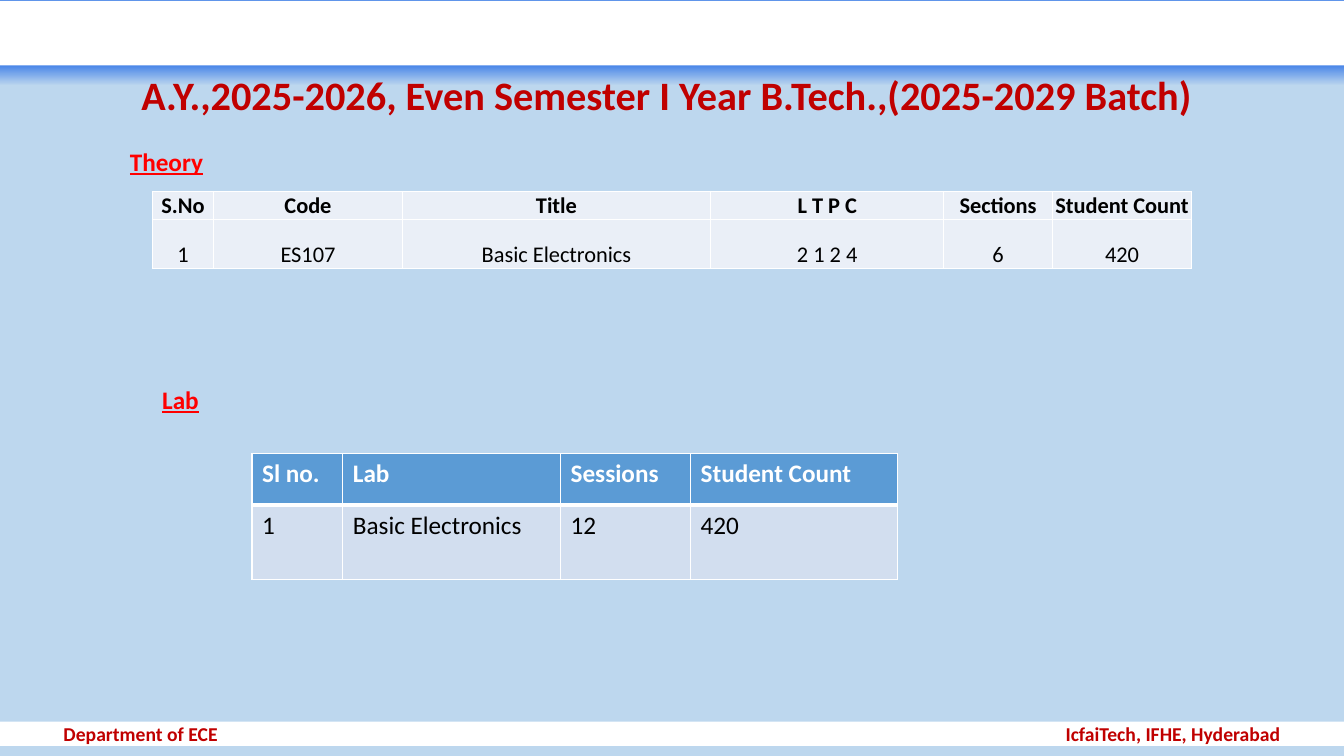
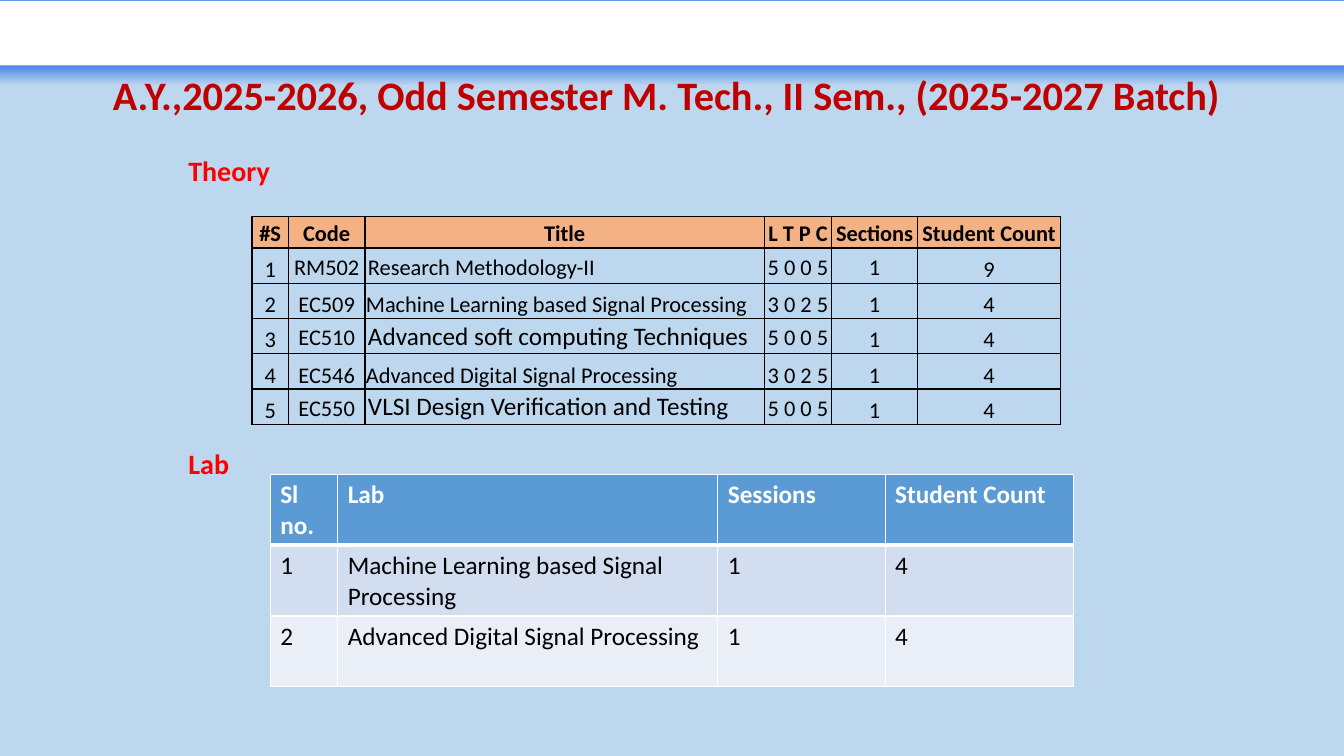
import pptx
import pptx.util
import pptx.dml.color
import pptx.enum.shapes
import pptx.enum.text
import pptx.oxml
import pptx.oxml.ns
from pptx.util import Inches

ALIGN = pptx.enum.text.PP_ALIGN
ANCHOR = pptx.enum.text.MSO_ANCHOR
RECTANGLE = pptx.enum.shapes.MSO_SHAPE.RECTANGLE

WIDTH, HEIGHT = 13.33, 7.5
FONT = "Calibri"
SKY, WHITE, BLACK = "BDD7EE", "FFFFFF", "000000"
CRIMSON, RED = "C00000", "FF0000"
GLOW, HEADER_BLUE = "4A86E8", "5B9BD5"
BAND_DARK, BAND_LIGHT, PEACH = "D2DEEF", "EAEFF7", "F4B183"
TIGHT = (0.01, 0.01, 0.01, 0)
PADDED = (0.03, 0.02, 0.03, 0.02)
THEORY_HEADS = ["Code", "Title", "L T P C", "Sections", "Student Count"]
LAB_HEADS = ["Sl no.", "Lab", "Sessions", "Student Count"]


def rgb(value):
    return pptx.dml.color.RGBColor.from_string(value)


def write(frame, text, size=18, color=BLACK, bold=False, underline=False,
          align=ALIGN.LEFT, spacing=None):
    """Fill a text frame with one formatted paragraph."""
    paragraph = frame.paragraphs[0]
    paragraph.alignment = align
    paragraph.line_spacing = spacing
    run = paragraph.add_run()
    run.text = text
    run.font.name = FONT
    run.font.size = pptx.util.Pt(size)
    run.font.bold = bold
    run.font.underline = underline
    run.font.color.rgb = rgb(color)


def set_insets(target, insets):
    """Set left, top, right and bottom margins of a frame or cell."""
    (target.margin_left, target.margin_top,
     target.margin_right, target.margin_bottom) = map(Inches, insets)


def add_band(slide, top, height, fill=WHITE):
    band = slide.shapes.add_shape(RECTANGLE, 0, Inches(top),
                                  Inches(WIDTH), Inches(height))
    band.shadow.inherit = False
    band.fill.solid()
    band.fill.fore_color.rgb = rgb(fill)
    band.line.fill.background()
    return band


def add_header(slide, title):
    # Blue glow that fades out below the white band
    glow_height, white_bottom = 0.85, 0.65
    glow = add_band(slide, 0, glow_height)
    glow.fill.gradient()
    glow.fill.gradient_angle = 270
    starts = (white_bottom / glow_height, 1)
    for stop, color, start in zip(glow.fill.gradient_stops, (GLOW, SKY), starts):
        stop.color.rgb = rgb(color)
        stop.position = start
    add_band(slide, 0.01, white_bottom - 0.01)

    # Title
    heading = slide.shapes.add_textbox(Inches(0.05), Inches(0.7),
                                       Inches(13.13), Inches(0.54))
    heading.text_frame.word_wrap = True
    heading.text_frame.vertical_anchor = ANCHOR.MIDDLE
    write(heading.text_frame, title, size=28.8, color=CRIMSON, bold=True,
          align=ALIGN.CENTER, spacing=0.9)


def add_footer(slide, department, institute):
    margin = 0.63
    frame = add_band(slide, 7.16, 0.24).text_frame
    frame.word_wrap = True
    frame.vertical_anchor = ANCHOR.MIDDLE
    set_insets(frame, (margin, 0, margin, 0))
    # A right tab holds the institute at the far margin
    properties = frame.paragraphs[0]._p.get_or_add_pPr()
    tabs = pptx.oxml.parse_xml(
        f'<a:tabLst {pptx.oxml.ns.nsdecls("a")}>'
        f'<a:tab pos="{Inches(WIDTH - 2 * margin)}" algn="r"/></a:tabLst>')
    properties.append(tabs)
    write(frame, f"{department}\t{institute}", size=14, color=CRIMSON, bold=True)


def add_label(slide, text, left, top, **style):
    label = slide.shapes.add_textbox(Inches(left), Inches(top),
                                     Inches(1.5), Inches(0.4))
    label.text_frame.word_wrap = False
    write(label.text_frame, text, color=RED, bold=True, **style)


def set_borders(cell, color, bottom=1):
    properties = cell._tc.get_or_add_tcPr()
    for index, (side, points) in enumerate(
            (("L", 1), ("R", 1), ("T", 1), ("B", bottom))):
        properties.insert(index, pptx.oxml.parse_xml(
            f'<a:ln{side} {pptx.oxml.ns.nsdecls("a")} w="{pptx.util.Pt(points)}">'
            f'<a:solidFill><a:srgbClr val="{color}"/></a:solidFill></a:ln{side}>'))


def add_grid(slide, left, top, widths, heights, rows):
    """Add an unstyled table; yield row, column, cell and text."""
    table = slide.shapes.add_table(
        len(rows), len(widths), Inches(left), Inches(top),
        Inches(sum(widths)), Inches(sum(heights))).table
    table.first_row = table.horz_banding = False
    for column, width in zip(table.columns, widths):
        column.width = Inches(width)
    for line, height in zip(table.rows, heights):
        line.height = Inches(height)
    for r, texts in enumerate(rows):
        for c, text in enumerate(texts):
            yield r, c, table.cell(r, c), text


def paint(cell, fill):
    if fill:
        cell.fill.solid()
        cell.fill.fore_color.rgb = rgb(fill)
    else:
        cell.fill.background()


def add_theory_table(slide, left, top, widths, heights, rows, head_fill,
                     body_fill=None, border=WHITE, title_align=ALIGN.CENTER,
                     padded=(), large=()):
    """padded and large hold the (row, column) places with that format."""
    for r, c, cell, text in add_grid(slide, left, top, widths, heights, rows):
        paint(cell, body_fill if r else head_fill)
        set_borders(cell, border)
        cell.vertical_anchor = ANCHOR.BOTTOM
        set_insets(cell, PADDED if (r, c) in padded else TIGHT)
        write(cell.text_frame, text, size=18 if (r, c) in large else 16,
              bold=r == 0, align=title_align if r and c == 2 else ALIGN.CENTER)


def add_lab_table(slide, left, top, widths, heights, courses):
    rows = [LAB_HEADS] + courses
    for r, c, cell, text in add_grid(slide, left, top, widths, heights, rows):
        head = r == 0
        paint(cell, HEADER_BLUE if head else (BAND_LIGHT, BAND_DARK)[r % 2])
        set_borders(cell, WHITE, bottom=3 if head else 1)
        write(cell.text_frame, text, color=WHITE if head else BLACK, bold=head)


def build_btech(slide):
    add_header(slide, "A.Y.,2025-2026, Even Semester I Year B.Tech.,(2025-2029 Batch)")
    add_footer(slide, "Department of ECE", "IcfaiTech, IFHE, Hyderabad")
    add_label(slide, "Theory", 1.19, 1.4, underline=True)
    add_theory_table(
        slide, 1.51, 1.9, [0.61, 1.87, 3.06, 2.31, 1.08, 1.38], [0.28, 0.48],
        [["S.No"] + THEORY_HEADS,
         ["1", "ES107", "Basic Electronics", "2 1 2 4", "6", "420"]],
        head_fill=BAND_LIGHT, body_fill=BAND_LIGHT)
    add_label(slide, "Lab", 1.51, 3.76, underline=True)
    add_lab_table(slide, 2.5, 4.5, [0.9, 2.16, 1.29, 2.05], [0.51, 0.74],
                  [["1", "Basic Electronics", "12", "420"]])


def build_mtech(slide):
    add_header(slide, "A.Y.,2025-2026, Odd Semester M. Tech., II Sem., (2025-2027 Batch)")
    add_label(slide, "Theory", 1.77, 1.47, size=20)
    add_theory_table(
        slide, 2.5, 2.15, [0.36, 0.76, 3.96, 0.67, 0.85, 1.42],
        [0.31] + [0.35] * 5,
        [["#S"] + THEORY_HEADS,
         ["1", "RM502", "Research Methodology-II", "5 0 0 5", "1", "9"],
         ["2", "EC509", "Machine Learning based Signal Processing", "3 0 2 5", "1", "4"],
         ["3", "EC510", "Advanced soft computing Techniques", "5 0 0 5", "1", "4"],
         ["4", "EC546", "Advanced Digital Signal Processing", "3 0 2 5", "1", "4"],
         ["5", "EC550", "VLSI Design Verification and Testing", "5 0 0 5", "1", "4"]],
        head_fill=PEACH, border=BLACK, title_align=ALIGN.LEFT,
        padded={(r, c) for r in (1, 3, 5) for c in (1, 2, 3)} | {(1, 4)},
        large={(3, 2), (5, 2)})
    add_label(slide, "Lab", 1.77, 4.38, size=20)
    add_lab_table(slide, 2.68, 4.71, [0.67, 3.77, 1.66, 1.87], [0.7] * 3,
                  [["1", "Machine Learning based Signal Processing", "1", "4"],
                   ["2", "Advanced Digital Signal Processing", "1", "4"]])


def main():
    deck = pptx.Presentation()
    deck.slide_width, deck.slide_height = Inches(WIDTH), Inches(HEIGHT)
    backdrop = deck.slide_master.background.fill
    backdrop.solid()
    backdrop.fore_color.rgb = rgb(SKY)
    for build in (build_btech, build_mtech):
        build(deck.slides.add_slide(deck.slide_layouts[6]))
    deck.save("out.pptx")


if __name__ == "__main__":
    main()
